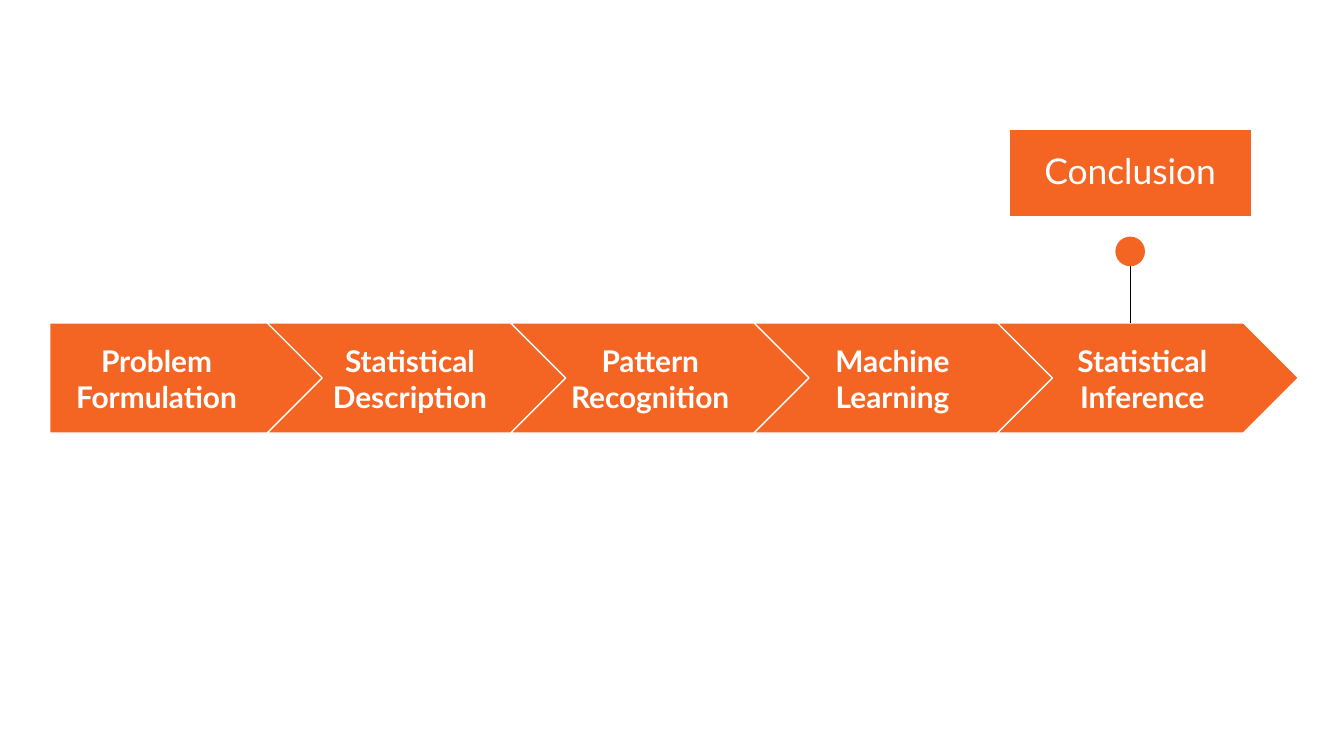
from lxml import etree
from pptx import Presentation
from pptx.dml.color import RGBColor
from pptx.enum import shapes, text
from pptx.oxml.ns import qn
from pptx.util import Cm, Pt

ORANGE = RGBColor(0xF4, 0x65, 0x24)
WHITE = RGBColor(0xFF, 0xFF, 0xFF)
BLACK = RGBColor(0, 0, 0)
FONT = "Lato"
KIND = shapes.MSO_SHAPE

# Step name, left edge and width of its label (cm)
STEPS = [
    ("Problem Formulation", 0.94, 4.04),
    ("Statistical Description", 5.92, 3.66),
    ("Pattern Recognition", 10.46, 3.66),
    ("Machine Learning", 15.04, 3.66),
    ("Statistical Inference", 19.76, 3.66),
]
RESULT = "Conclusion"

TOP, HIGH = 6.1, 2.08            # arrow band
START, FIRST = 0.94, 5.21        # opening pentagon
NEXT, WIDE, PITCH = 5.05, 5.69, 4.6  # chevrons
LABEL, TALL = 6.5, 1.3           # label band
PIN, DOT = 21.36, 0.56           # centre and size of the pin
DOT_TOP = 4.47


def block(parent, kind, x, y, w, h, edge=True):
    item = parent.add_shape(kind, Cm(x), Cm(y), Cm(w), Cm(h))
    item.shadow.inherit = False
    item.fill.solid()
    item.fill.fore_color.rgb = ORANGE
    if edge:
        item.line.color.rgb = WHITE
        item.line.width = Pt(0.75)
    else:
        item.line.fill.background()
    return item


def write(item, words, size, bold, anchor):
    frame = item.text_frame
    frame.text = words
    frame.word_wrap = True
    frame.vertical_anchor = anchor
    frame.margin_left = frame.margin_right = Cm(0.25)
    frame.margin_top = frame.margin_bottom = Cm(0.25)
    para = frame.paragraphs[0]
    para.alignment = text.PP_ALIGN.CENTER
    font = para.runs[0].font
    font.name, font.size, font.bold = FONT, Pt(size), bold
    font.color.rgb = WHITE
    return para


def add_pin(slide):
    group = slide.shapes.add_group_shape().shapes
    stem = group.add_connector(shapes.MSO_CONNECTOR.STRAIGHT,
                               Cm(PIN), Cm(DOT_TOP + 0.1), Cm(PIN), Cm(TOP))
    stem.line.color.rgb = BLACK
    stem.line.width = Pt(0.75)
    etree.SubElement(stem._element.spPr, qn("a:effectLst"))
    block(group, KIND.OVAL, PIN - DOT / 2, DOT_TOP, DOT, DOT, edge=False)


def main():
    deck = Presentation()
    deck.slide_width, deck.slide_height = Cm(25.4), Cm(14.28)
    slide = deck.slides.add_slide(deck.slide_layouts[6])

    for i, (name, left, width) in enumerate(STEPS):
        if i == 0:
            block(slide.shapes, KIND.PENTAGON, START, TOP, FIRST, HIGH)
        else:
            x = NEXT + (i - 1) * PITCH
            block(slide.shapes, KIND.CHEVRON, x, TOP, WIDE, HIGH)
        label = slide.shapes.add_textbox(Cm(left), Cm(LABEL), Cm(width), Cm(TALL))
        write(label, name, 16, True, text.MSO_ANCHOR.MIDDLE)

    add_pin(slide)
    box = block(slide.shapes, KIND.RECTANGLE, 19.07, 2.44, 4.58, 1.65)
    para = write(box, RESULT, 19, False, text.MSO_ANCHOR.TOP)
    para.line_spacing = 1.15
    para.space_after = Pt(16)

    deck.save("out.pptx")


if __name__ == "__main__":
    main()
